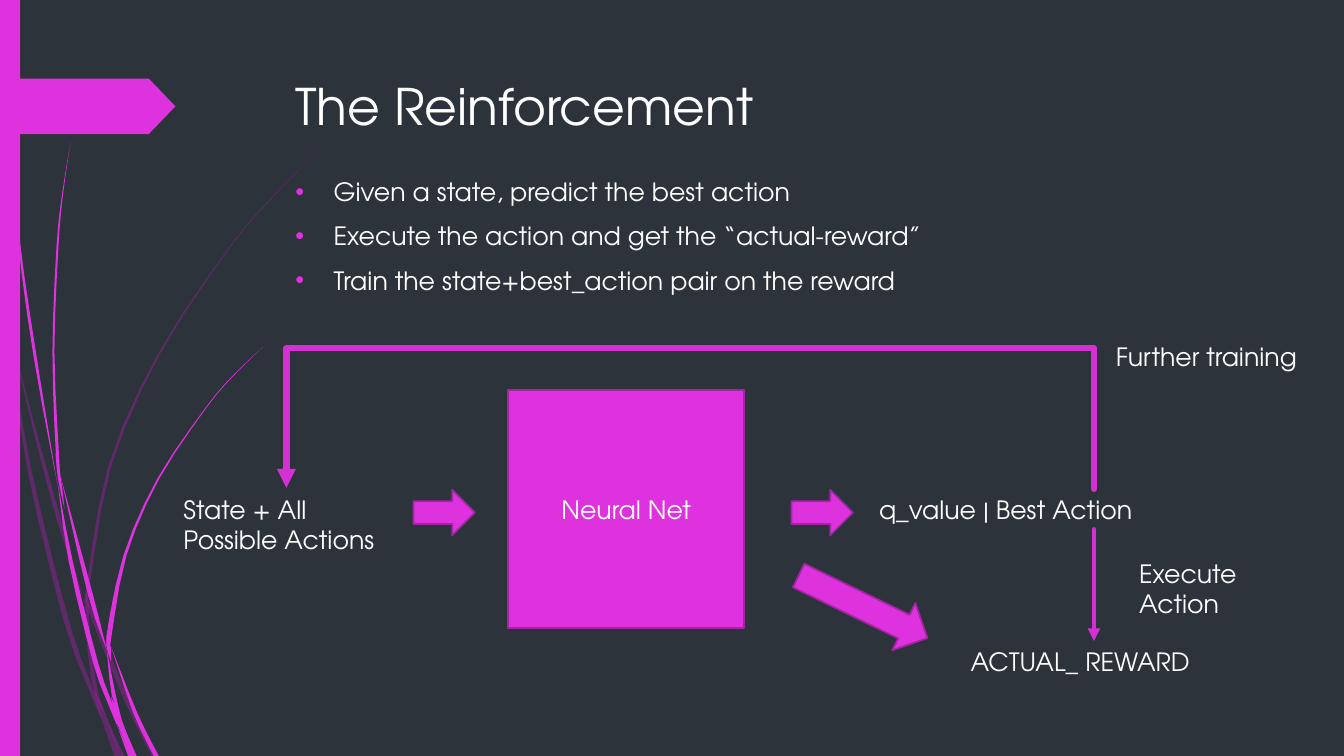
from lxml import etree
from pptx import Presentation
from pptx import util as u
from pptx.dml import color
from pptx.enum import shapes, text
from pptx.oxml import ns

WIDE, HIGH = 13.33, 7.5
FONT = "TeX Gyre Adventor"
WHITE, PINK, EDGE, LINK, DIM, BACK = "FFFFFF", "DE32DE", "A425A4", "D430D4", "B01CB0", "2C333A"
KIND = shapes.MSO_SHAPE
LINE = shapes.MSO_CONNECTOR

DIM_STRANDS = [
    [(0, 2.82, 0), (.05, 3.1, .03), (.11, 3.5, 0)],
    [(.14, 3.45, 0), (.36, 4.33, .03), (.6, 5.21, .04), (.84, 5.99, 0)],
    [(.88, 5.96, 0), (.91, 6.09, .04), (1.25, 6.93, .05), (1.53, 7.5, .05)],
    [(1.05, 7.11, 0), (1.21, 7.5, .05)],
    [(.11, 3.5, 0), (.3, 4.7, .04), (.67, 6.2, .05), (.92, 6.88, .04), (1.01, 7.14, 0)],
    [(.84, 5.99, 0), (.86, 6.1, .04), (.89, 6.46, .04), (.95, 6.85, .04), (1.05, 7.11, 0)],
    [(3.12, 1.53, 0), (2.68, 1.98, .01), (2.28, 2.45, .01), (1.59, 3.49, .02),
     (1.09, 4.62, .03), (.87, 5.85, .03), (.88, 5.96, 0)],
    [(1.01, 7.14, 0), (1.16, 7.5, .05)],
    [(.85, 5.86, 0), (.86, 5.98, .04), (.88, 6.1, 0)],
    [(.93, 6.83, 0), (1.02, 7.09, .06), (1.19, 7.5, 0)],
]
PINK_STRANDS = [
    [(.04, 0, .01), (.08, 1.1, .01), (.18, 2.33, .02), (.35, 3.55, .03), (.57, 4.81, 0)],
    [(.6, 4.72, 0), (.9, 5.91, .05), (1.06, 6.45, 0)],
    [(1.1, 6.41, 0), (1.34, 7.07, .04), (1.55, 7.5, .05)],
    [(.57, 4.77, 0), (.7, 5.56, .04), (.95, 6.58, .05), (1.1, 7, .04), (1.17, 7.22, 0)],
    [(.7, 1.41, 0), (.62, 1.93, .01), (.57, 2.45, .02), (.53, 3.49, .02),
     (.57, 4.51, .03), (.6, 4.72, 0)],
    [(1.22, 7.19, 0), (1.34, 7.5, .03)],
    [(.55, 4.49, 0), (.59, 4.75, .03), (.64, 5.05, 0)],
    [(2.61, 3.44, 0), (2.31, 3.73, .01), (2.04, 4.05, .01), (1.57, 4.75, .02),
     (1.24, 5.51, .03), (1.08, 6.32, .05), (1.1, 6.41, 0)],
    [(1.17, 7.22, 0), (1.29, 7.5, .04)],
    [(1.06, 6.45, 0), (1.13, 6.9, .04), (1.22, 7.19, 0)],
    [(1.06, 6.31, 0), (1.08, 6.43, .04), (1.1, 6.56, 0)],
    [(1.1, 6.91, 0), (1.18, 7.15, .06), (1.32, 7.5, .03)],
]


def hue(fmt, code):
    fmt.rgb = color.RGBColor.from_string(code)


def paint(fill, code):
    fill.solid()
    hue(fill.fore_color, code)


def sub(node, tag, **attrs):
    return etree.SubElement(node, ns.qn(tag), attrs)


def cells(box, col, row, cols, rows):
    return [u.Inches(n) for n in (box[0] + col, box[1] + row, cols, rows)]


def write(par, words, size=18):
    run = par.add_run()
    run.text = words
    run.font.size, run.font.name = u.Pt(size), FONT
    hue(run.font.color, WHITE)


def label(slide, box, spot, words):
    frame = slide.shapes.add_textbox(*cells(box, *spot)).text_frame
    frame.word_wrap = True
    write(frame.paragraphs[0], words)


def block(slide, box, kind, spot, edge=None):
    shape = slide.shapes.add_shape(kind, *cells(box, *spot))
    shape.shadow.inherit = False
    paint(shape.fill, PINK)
    if edge:
        hue(shape.line.color, edge)
        shape.line.width = u.Pt(1.25)
    else:
        shape.line.fill.background()
    return shape


def link(slide, box, kind, spot, width):
    left, top, wide, high = cells(box, *spot)
    line = slide.shapes.add_connector(kind, left, top, left + wide, top + high)
    hue(line.line.color, LINK)
    line.line.width = u.Pt(width)
    pen = line.line._get_or_add_ln()
    pen.set("cap", "rnd")
    sub(pen, "a:round")
    sub(pen, "a:tailEnd", type="triangle")
    sub(line._element.spPr, "a:effectLst")
    return line


def smooth(knots, steps=3):
    ends = [knots[0]] + knots + [knots[-1]]
    for a, b, c, d in zip(ends, ends[1:], ends[2:], ends[3:]):
        for t in (n / steps for n in range(steps)):
            yield [(2 * q + (r - p) * t + (2 * p - 5 * q + 4 * r - s) * t ** 2
                    + (3 * q - p - 3 * r + s) * t ** 3) / 2
                   for p, q, r, s in zip(a, b, c, d)]
    yield knots[-1]


def strand(slide, box, knots, code, alpha=None):
    track = list(smooth(knots))
    rim = [(x - w / 2, y) for x, y, w in track] + [(x + w / 2, y) for x, y, w in reversed(track)]
    rim = [(u.Inches(box[0] + x), u.Inches(box[1] + y)) for x, y in rim]
    pen = slide.shapes.build_freeform(*rim[0])
    pen.add_line_segments(rim[1:], close=True)
    shape = pen.convert_to_shape()
    shape.shadow.inherit = False
    paint(shape.fill, code)
    shape.line.fill.background()
    if alpha:
        tint = shape._element.spPr.find(ns.qn("a:solidFill"))[0]
        sub(tint, "a:alpha", val=str(alpha * 1000))


def margin(slide, box):
    for knots in DIM_STRANDS:
        strand(slide, box, knots, DIM, 40)
    for knots in PINK_STRANDS:
        strand(slide, box, knots, PINK)
    block(slide, box, KIND.RECTANGLE, (0, 0, .2, box[3]))
    block(slide, box, KIND.PENTAGON, (0, .78, 1.74, .55)).adjustments[0] = .48


def heading(slide, box, words):
    title = slide.shapes.title
    title.left, title.top, title.width, title.height = cells(box, 0, 0, *box[2:])
    frame = title.text_frame
    frame.word_wrap = True
    frame.auto_size = text.MSO_AUTO_SIZE.NONE
    frame.vertical_anchor = text.MSO_ANCHOR.TOP
    par = frame.paragraphs[0]
    par.alignment = text.PP_ALIGN.LEFT
    write(par, words, 36)


def bullets(slide, box, items):
    frame = slide.shapes.add_textbox(*cells(box, 0, 0, *box[2:])).text_frame
    frame.word_wrap = True
    for n, words in enumerate(items):
        par = frame.add_paragraph() if n else frame.paragraphs[0]
        par.space_before = u.Pt(10)
        props = par._p.get_or_add_pPr()
        props.set("marL", str(u.Inches(.38)))
        props.set("indent", str(-u.Inches(.38)))
        sub(sub(props, "a:buClr"), "a:srgbClr", val=PINK)
        sub(props, "a:buFont", typeface="Arial")
        sub(props, "a:buChar", char="\u2022")
        write(par, words)


def loop(slide, box, left, right, top, base):
    span, thin = right - left, .01
    spot = ((left + right - thin) / 2, base - (thin + span) / 2, thin, span)
    line = link(slide, box, LINE.ELBOW, spot, 4.5)
    frame = line._element.spPr.find(ns.qn("a:xfrm"))
    frame.set("rot", str(270 * 60000))
    frame.set("flipV", "1")
    guide = line._element.spPr.find(ns.qn("a:prstGeom")).find(ns.qn("a:avLst"))
    sub(guide, "a:gd", name="adj1", fmla=f"val {round((base - top) / thin * 100000)}")


def diagram(slide, box):
    net = block(slide, box, KIND.RECTANGLE, (3.32, .53, 2.34, 2.36), EDGE)
    net.text_frame.vertical_anchor = text.MSO_ANCHOR.MIDDLE
    par = net.text_frame.paragraphs[0]
    par.alignment = text.PP_ALIGN.CENTER
    write(par, "Neural Net")
    for col in (2.38, 6.13):
        block(slide, box, KIND.RIGHT_ARROW, (col, 1.52, .61, .45), EDGE)
    block(slide, box, KIND.RIGHT_ARROW, (6.13, 2.42, 1.42, .52), EDGE).rotation = 25.9
    link(slide, box, LINE.STRAIGHT, (9.13, 1.91, 0, 1.11), 3)
    loop(slide, box, 1.12, 9.13, .09, 1.51)
    for spot, words in (
        ((0, 1.51, 2.23, .71), "State + All Possible Actions"),
        ((6.9, 1.51, 4.44, .4), "q_value | Best Action"),
        ((7.81, 3.02, 2.64, .4), "ACTUAL_ REWARD"),
        ((9.48, 2.15, 1.73, .71), "Execute Action"),
        ((9.25, 0, 2.1, .4), "Further training"),
    ):
        label(slide, box, spot, words)


deck = Presentation()
deck.slide_width, deck.slide_height = u.Inches(WIDE), u.Inches(HIGH)
slide = deck.slides.add_slide(deck.slide_layouts[5])
paint(slide.background.fill, BACK)
margin(slide, (0, 0, 3.12, HIGH))
heading(slide, (2.83, .69, 9.75, 1.4), "The Reinforcement")
bullets(slide, (2.83, 1.7, 9.75, 1.69), [
    "Given a state, predict the best action",
    "Execute the action and get the \u201cactual-reward\u201d",
    "Train the state+best_action pair on the reward",
])
diagram(slide, (1.72, 3.34, 11.35, 3.42))
deck.save("out.pptx")
